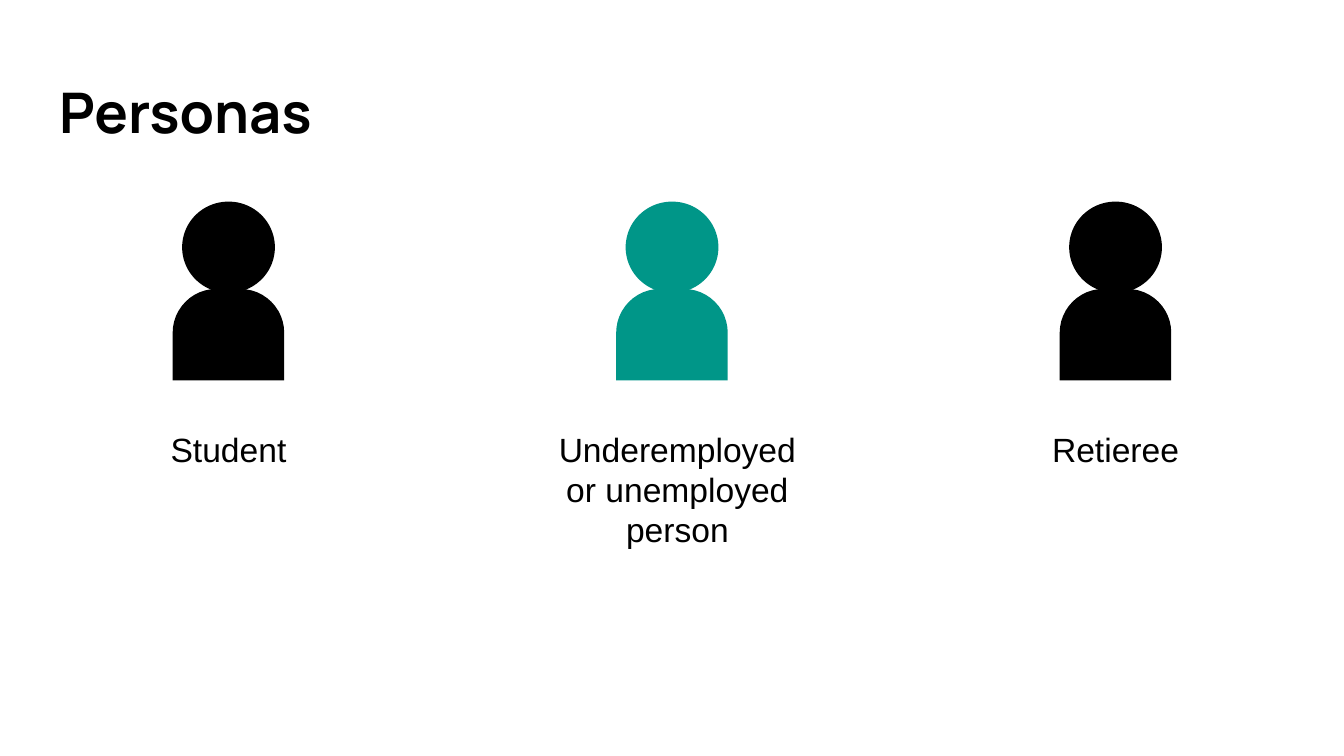
from pptx import Presentation
from pptx.dml.color import RGBColor
from pptx.enum.shapes import MSO_SHAPE
from pptx.enum.text import MSO_ANCHOR, MSO_AUTO_SIZE, PP_ALIGN
from pptx.util import Inches, Pt

BLACK, TEAL = "000000", "009688"
FIRST_CENTER, COLUMN_PITCH = 1.7, 3.3
FIGURE_TOP, LABEL_TOP = 1.5, 3.09

# Label paragraphs (each a list of lines), figure colour,
# label width, label height, label shift
PERSONAS = [
    ([["Student"]], BLACK, 1.89, 0.68, 0),
    ([["Underemployed", "or unemployed"], ["person"]], TEAL, 1.98, 1.05, 0.04),
    ([["Retieree"]], BLACK, 1.89, 0.68, 0),
]


def color(hex_string):
    """Turn a hex string into a colour."""
    return RGBColor.from_string(hex_string)


def add_text(paragraph, text, font, size, bold=False):
    """Add one black run to a paragraph."""
    run = paragraph.add_run()
    run.text = text
    run.font.name, run.font.size, run.font.bold = font, Pt(size), bold
    run.font.color.rgb = color(BLACK)


def set_margins(frame):
    """Wrap the text and give it equal margins on all sides."""
    frame.word_wrap = True
    frame.auto_size = MSO_AUTO_SIZE.NONE
    frame.margin_left = frame.margin_right = Inches(0.1)
    frame.margin_top = frame.margin_bottom = Inches(0.1)


def add_heading(slide, text, left, top, width, height):
    """Move the title placeholder into the box and fill it."""
    heading = slide.shapes.title
    heading.left, heading.top = Inches(left), Inches(top)
    heading.width, heading.height = Inches(width), Inches(height)
    frame = heading.text_frame
    set_margins(frame)
    frame.vertical_anchor = MSO_ANCHOR.MIDDLE
    line = frame.paragraphs[0]
    line.alignment = PP_ALIGN.LEFT
    add_text(line, text, "Manrope", 30, bold=True)


def add_figure(slide, center, top, fill):
    """Draw a head above round shoulders, centred in its column."""
    parts = [(MSO_SHAPE.OVAL, 0.69, 0),
             (MSO_SHAPE.ROUND_2_SAME_RECTANGLE, 0.83, 0.65)]
    for preset, width, drop in parts:
        part = slide.shapes.add_shape(
            preset, Inches(center - width / 2), Inches(top + drop),
            Inches(width), Inches(0.68))
        part.shadow.inherit = False
        part.fill.solid()
        part.fill.fore_color.rgb = color(fill)
        part.line.fill.background()
    shoulders = part
    shoulders.adjustments[0] = 0.48
    shoulders.adjustments[1] = 0


def add_label(slide, paragraphs, center, top, width, height):
    """Write the persona's name, centred below the figure."""
    label = slide.shapes.add_textbox(
        Inches(center - width / 2), Inches(top), Inches(width), Inches(height))
    frame = label.text_frame
    set_margins(frame)
    for index, lines in enumerate(paragraphs):
        paragraph = frame.add_paragraph() if index else frame.paragraphs[0]
        paragraph.alignment = PP_ALIGN.CENTER
        for position, text in enumerate(lines):
            if position:
                paragraph.add_line_break()
            add_text(paragraph, text, "Arial", 18)


def build_personas():
    """Build the slide with one column for each persona."""
    deck = Presentation()
    deck.slide_width = Inches(10)
    deck.slide_height = deck.slide_width * 9 // 16
    slide = deck.slides.add_slide(deck.slide_layouts[5])
    add_heading(slide, "Personas", 0.34, 0.49, 9.32, 0.68)
    for column, (name, fill, width, height, shift) in enumerate(PERSONAS):
        center = FIRST_CENTER + column * COLUMN_PITCH
        add_figure(slide, center, FIGURE_TOP, fill)
        add_label(slide, name, center + shift, LABEL_TOP, width, height)
    deck.save("out.pptx")


build_personas()
